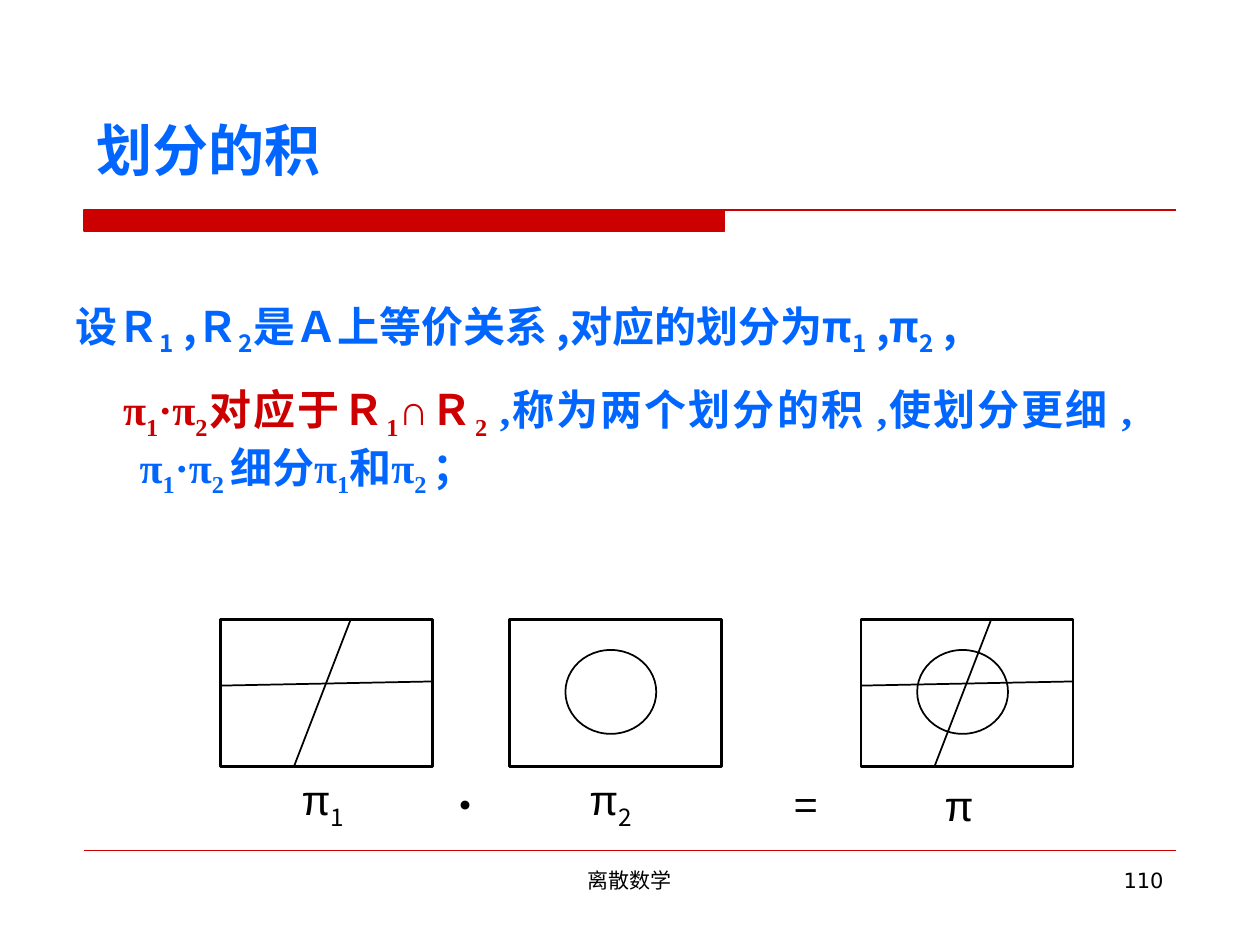
import pptx
import pptx.dml.color
import pptx.enum.shapes
import pptx.enum.text
import pptx.oxml.ns
import pptx.util
from lxml import etree

COLORS = {"red": "CC0000", "blue": "0066FF", "black": "000000"}
CJK = "Noto Sans CJK SC"
ALIGN = pptx.enum.text.PP_ALIGN
ANCHOR = pptx.enum.text.MSO_ANCHOR
SHAPE = pptx.enum.shapes.MSO_SHAPE
qn = pptx.oxml.ns.qn

deck = pptx.Presentation()
deck.slide_width = pptx.util.Inches(10)
deck.slide_height = pptx.util.Inches(7.5)
page = deck.slides.add_slide(deck.slide_layouts[6])
shapes = page.shapes
# The page is a grid of 120 columns by 90 rows with square cells.
UNIT = deck.slide_width // 120


def write(text, *, at=None, para=None, size=24, font=CJK, sub_font=None,
          color="black", bold=False, align=ALIGN.CENTER, anchor=ANCHOR.TOP):
    """Write into para, or into a new box at grid cells; [..] marks a subscript."""
    if para is None:
        box = shapes.add_textbox(*(round(cells * UNIT) for cells in at))
        box.text_frame.word_wrap = True
        box.text_frame.vertical_anchor = anchor
        para = box.text_frame.paragraphs[0]
    para.alignment = align
    for index, piece in enumerate(text.replace("]", "[").split("[")):
        if not piece:
            continue
        lowered = index % 2 == 1
        span = para.add_run()
        span.text = piece
        span.font.size = pptx.util.Pt(size)
        span.font.bold = bold
        span.font.color.rgb = pptx.dml.color.RGBColor.from_string(COLORS[color])
        span.font.name = sub_font if lowered and sub_font else font
        properties = span.font._element
        etree.SubElement(properties, qn("a:ea")).set("typeface", CJK)
        if lowered:
            properties.set("baseline", "-25000")


def draw_line(x1, y1, x2, y2, color="black", width=1):
    line = shapes.add_connector(
        pptx.enum.shapes.MSO_CONNECTOR.STRAIGHT,
        *(round(cells * UNIT) for cells in (x1, y1, x2, y2)))
    line.line.color.rgb = pptx.dml.color.RGBColor.from_string(COLORS[color])
    line.line.width = pptx.util.Pt(width)
    etree.SubElement(line._element.spPr, qn("a:effectLst"))


# Title rule: a thick bar that continues as a thin line
LEFT, RULE = 8, 20.5
builder = shapes.build_freeform(LEFT, RULE, scale=UNIT)
builder.add_line_segments([(69.1, RULE), (69.1, 22), (LEFT, 22)], close=True)
builder.move_to(LEFT, RULE)
builder.add_line_segments([(112.4, RULE)], close=False)
rule = builder.convert_to_shape()
rule.shadow.inherit = False
rule.fill.solid()
rule.fill.fore_color.rgb = pptx.dml.color.RGBColor.from_string(COLORS["red"])
rule.line.color.rgb = pptx.dml.color.RGBColor.from_string(COLORS["red"])
rule.line.width = pptx.util.Pt(0.75)

# Footer and title
draw_line(LEFT, 81, 112, 81, color="red", width=0.25)
write("离散数学", at=(41, 82, 38, 6.25), size=12, font="DejaVu Sans")
write("110", at=(86, 82, 26, 6.25), size=12, font="DejaVu Sans", align=ALIGN.RIGHT)
write("划分的积", at=(LEFT, 9, 102, 9), size=32, font="DejaVu Sans", color="blue",
      bold=True, align=ALIGN.LEFT, anchor=ANCHOR.BOTTOM)

# Definition: each paragraph has a first-line indent and its coloured parts
definition = [
    (-0.51, CJK, [("设Ｒ[1] ,Ｒ[2]是Ａ上等价关系 ,对应的划分为π[1] ,π[2] ,", "blue")]),
    (-0.13, "Times New Roman", [
        ("π[1]·π[2]对应于Ｒ[1]∩Ｒ[2]", "red"),
        (" ,称为两个划分的积 ,使划分更细 , π[1]·π[2 ]细分π[1]和π[2 ]；", "blue")]),
]
body = shapes.add_textbox(6 * UNIT, 28 * UNIT, 103 * UNIT, 55 * UNIT).text_frame
body.word_wrap = True
for index, (indent, font, parts) in enumerate(definition):
    para = body.add_paragraph() if index else body.paragraphs[0]
    para.space_before = pptx.util.Pt(15)
    layout = para._p.get_or_add_pPr()
    layout.set("marL", str(pptx.util.Inches(0.51)))
    layout.set("indent", str(pptx.util.Inches(indent)))
    for text, color in parts:
        write(text, para=para, font=font, color=color, bold=True, align=ALIGN.JUSTIFY)

# Partition panels: left column, crossed by lines, holding a circle
TOP, WIDTH, HEIGHT = 59, 20.2, 14
for left, crossed, circled in [(21, True, False), (48.5, False, True), (82, True, True)]:
    outlines = [(SHAPE.RECTANGLE, left, TOP, WIDTH, HEIGHT, 1.5)]
    if circled:
        outlines.append((SHAPE.OVAL, left + 5.35, TOP + 2.9, 8.65, 8, 1))
    for kind, x, y, width, height, weight in outlines:
        outline = shapes.add_shape(
            kind, *(round(cells * UNIT) for cells in (x, y, width, height)))
        outline.shadow.inherit = False
        outline.fill.background()
        outline.line.color.rgb = pptx.dml.color.RGBColor.from_string(COLORS["black"])
        outline.line.width = pptx.util.Pt(weight)
    if crossed:
        draw_line(left + 12.4, TOP, left + 7, TOP + HEIGHT)
        draw_line(left + WIDTH, TOP + 5.9, left, TOP + 6.3)

# Equation under the panels
for text, left, top, font in [
        ("π[1]", 27.2, 73.1, "Arial"), ("·", 40.8, 73.3, CJK),
        ("π[2]", 54.6, 73.1, "Arial"), ("=", 73.2, 73.3, CJK),
        ("π", 87.8, 73.3, "Arial")]:
    write(text, at=(left, top, 7.1, 6.6), font=font, sub_font=CJK, anchor=ANCHOR.MIDDLE)

deck.save("out.pptx")
